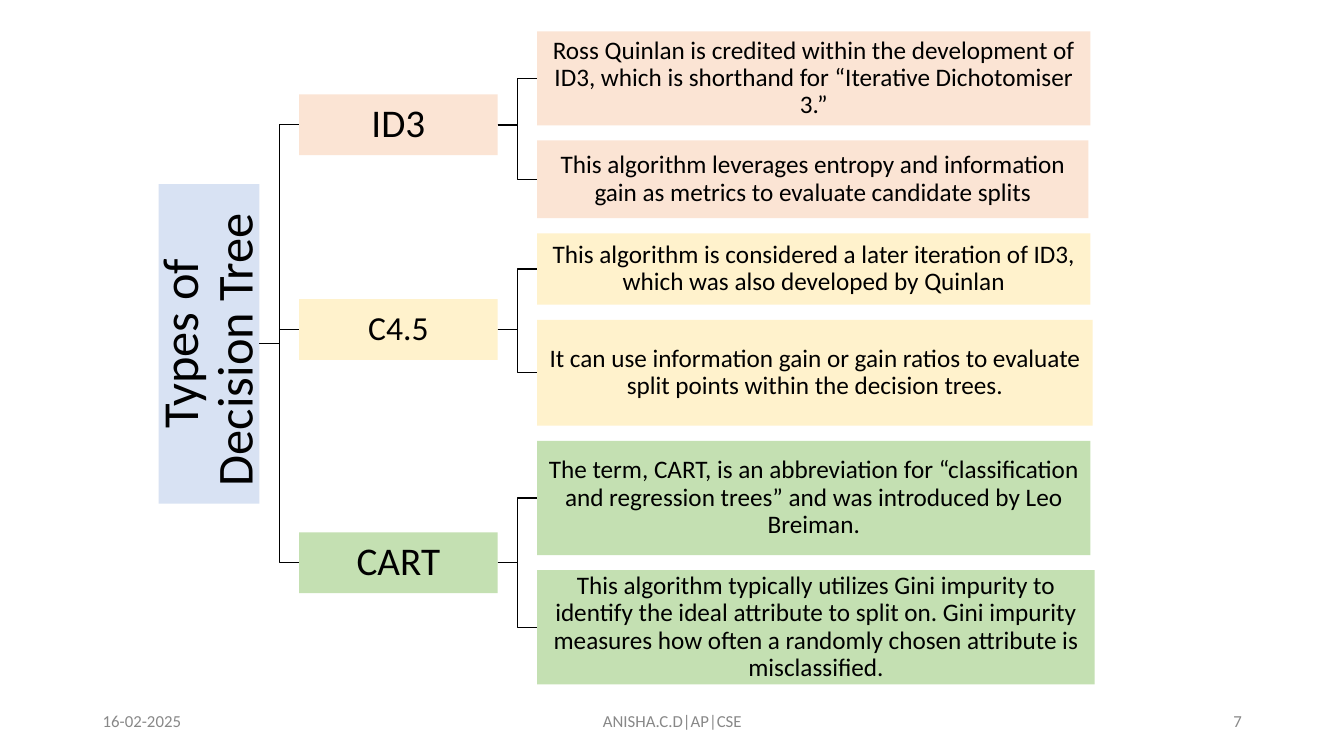
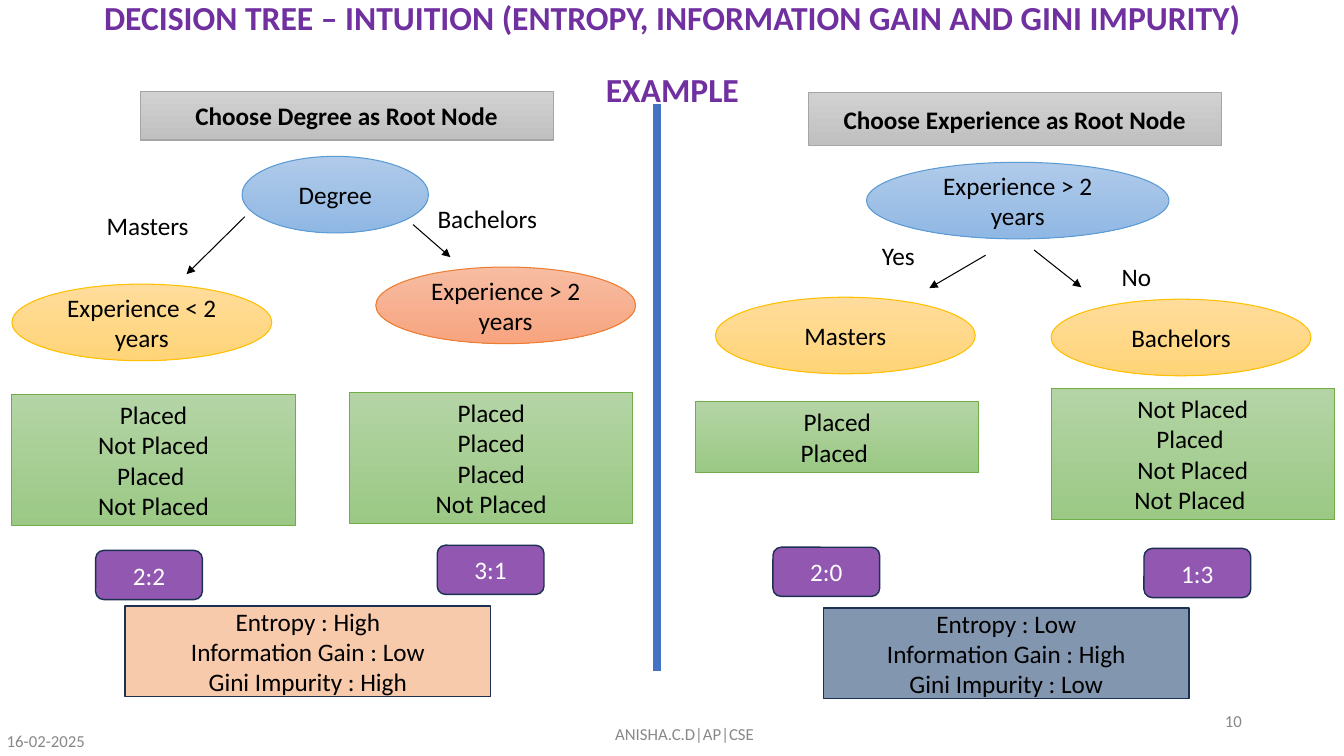
from dataclasses import dataclass

from lxml import etree
from pptx import Presentation
from pptx.dml.color import RGBColor
from pptx.enum import shapes, text
from pptx.oxml import ns
from pptx.util import Cm, Pt

FONT = "Calibri"
BLACK = RGBColor(0x00, 0x00, 0x00)
WHITE = RGBColor(0xFF, 0xFF, 0xFF)
FOOTER_GREY = RGBColor(0x88, 0x88, 0x88)
TITLE_PURPLE = RGBColor(0x70, 0x30, 0xA0)
BADGE_PURPLE = RGBColor(0x91, 0x57, 0xB1)
NAVY = RGBColor(0x1C, 0x30, 0x52)
DIVIDER_BLUE = RGBColor(0x44, 0x72, 0xC4)
PALE_BLUE = RGBColor(0xD8, 0xE2, 0xF3)
PALE_ORANGE = RGBColor(0xFB, 0xE4, 0xD4)
PALE_YELLOW = RGBColor(0xFF, 0xF2, 0xCC)
PALE_GREEN = RGBColor(0xC4, 0xE0, 0xB2)
PEACH = RGBColor(0xF7, 0xCA, 0xAC)
SLATE = RGBColor(0x82, 0x96, 0xB0)

# Gradient styles: top colour, bottom colour, outline
GREY = (RGBColor(0xD1, 0xD1, 0xD1), RGBColor(0xC0, 0xC0, 0xC0), RGBColor(0xA5, 0xA5, 0xA5))
BLUE = (RGBColor(0xB0, 0xCA, 0xE9), RGBColor(0x90, 0xB8, 0xE4), RGBColor(0x5B, 0x9B, 0xD5))
GOLD = (RGBColor(0xFF, 0xDC, 0x9B), RGBColor(0xFF, 0xD4, 0x78), RGBColor(0xFF, 0xC0, 0x00))
ORANGE = (RGBColor(0xF7, 0xBC, 0xA2), RGBColor(0xF7, 0xA4, 0x7F), RGBColor(0xED, 0x7D, 0x31))
GREEN = (RGBColor(0xB4, 0xD4, 0xA5), RGBColor(0x9B, 0xC9, 0x85), RGBColor(0x70, 0xAD, 0x47))

RECT = shapes.MSO_SHAPE.RECTANGLE
OVAL = shapes.MSO_SHAPE.OVAL
ROUNDED = shapes.MSO_SHAPE.ROUNDED_RECTANGLE
STRAIGHT = shapes.MSO_CONNECTOR.STRAIGHT
ELBOW = shapes.MSO_CONNECTOR.ELBOW
LEFT, CENTER, RIGHT = text.PP_ALIGN.LEFT, text.PP_ALIGN.CENTER, text.PP_ALIGN.RIGHT


@dataclass
class Branch:
    """One side of a split; places are relative to the panel, in cm."""
    label: str
    label_at: tuple  # middle of the top edge
    arrow: tuple
    node: str
    node_at: tuple
    style: tuple
    outcomes: str
    outcomes_at: tuple
    ratio: str
    ratio_at: tuple


def set_text(shape, words, size=18, color=BLACK, bold=False, align=CENTER, inset=None, spacing=None):
    tf = shape.text_frame
    tf.word_wrap = True
    tf.vertical_anchor = text.MSO_ANCHOR.MIDDLE
    if inset is not None:
        tf.margin_left = tf.margin_right = tf.margin_top = tf.margin_bottom = Cm(inset)
    tf.text = words
    for p in tf.paragraphs:
        p.alignment = align
        if spacing:
            p.line_spacing = spacing
        for r in p.runs:
            r.font.name, r.font.size, r.font.bold = FONT, Pt(size), bold
            r.font.color.rgb = color
    return tf


def add_text(s, box, words, **style):
    return set_text(s.shapes.add_textbox(*map(Cm, box)), words, **style)


def add_box(s, kind, box, words, fill, outline=None, **style):
    """Draw a filled shape; a fill that is not one colour is a gradient with its outline."""
    sp = s.shapes.add_shape(kind, *map(Cm, box))
    sp.shadow.inherit = False
    if isinstance(fill, RGBColor):
        sp.fill.solid()
        sp.fill.fore_color.rgb = fill
        if outline is None:
            sp.line.fill.background()
        else:
            sp.line.color.rgb, sp.line.width = outline, Pt(1)
    else:
        top, bottom, edge = fill
        sp.fill.gradient()
        sp.fill.gradient_angle = 270
        for stop, color in zip(sp.fill.gradient_stops, (top, bottom)):
            stop.color.rgb = color
        sp.line.color.rgb, sp.line.width = edge, Pt(0.75)
    set_text(sp, words, **style)
    return sp


def add_line(s, ends=(0, 0, 0, 0), color=BLACK, width=1, kind=STRAIGHT, arrow=False):
    line = s.shapes.add_connector(kind, *map(Cm, ends))
    line.line.color.rgb, line.line.width = color, Pt(width)
    props = line._element.spPr
    if arrow:
        etree.SubElement(props.find(ns.qn("a:ln")), ns.qn("a:tailEnd"), type="triangle")
    etree.SubElement(props, ns.qn("a:effectLst"))
    return line


def add_elbow(s, start, start_site, end):
    line = add_line(s, kind=ELBOW)
    line.begin_connect(start, start_site)
    line.end_connect(end, 1)
    return line


def add_footer(s, number, date_at, credit_at):
    number_at = (23.93, 17.65)
    for (left, top), width, words, align in (
            (date_at, 7.62, "16-02-2025", LEFT),
            (credit_at, 11.43, "ANISHA.C.D|AP|CSE", CENTER),
            (number_at, 7.62, number, RIGHT)):
        add_text(s, (left, top, width, 1.02), words, size=12, color=FOOTER_GREY, align=align)


def add_title(s, words):
    tf = add_text(s, (2.34, 1.01, 29.21, 0.79), words, size=24, color=TITLE_PURPLE, bold=True, spacing=0.9)
    for p in tf.paragraphs[1:]:
        p.space_before = Pt(26)


def add_hierarchy(s, left, top, root_words, groups):
    """Draw a root, its groups and their leaves from left to right."""
    level_gap, leaf_gap = 1, 0.38
    root_w, root_h = 2.54, 8.05
    group_w, group_h = 5, 1.53
    group_left = left + root_w + level_gap
    leaf_left = group_left + group_w + level_gap

    group_shapes, middles = [], []
    leaf_top = top
    for name, size, fill, leaves in groups:
        group_top = leaf_top
        leaf_shapes = []
        for words, width, height in leaves:
            leaf_shapes.append(add_box(s, RECT, (leaf_left, leaf_top, width, height), words, fill,
                                       inset=0.03, spacing=0.9))
            leaf_top += height + leaf_gap
        middle = (group_top + leaf_top - leaf_gap) / 2
        group = add_box(s, RECT, (group_left, middle - group_h / 2, group_w, group_h), name, fill,
                        size=size, inset=0.05, spacing=0.9)
        for leaf in leaf_shapes:
            add_elbow(s, group, 3, leaf)
        group_shapes.append(group)
        middles.append(middle)

    root_middle = (middles[0] + middles[-1]) / 2
    root = add_box(s, RECT, (left + (root_w - root_h) / 2, root_middle - root_w / 2, root_h, root_w),
                   root_words, PALE_BLUE, size=36, inset=0.05, spacing=0.9)
    root.rotation = 270
    for group in group_shapes:
        # The bottom of the turned root faces right
        line = add_elbow(s, root, 2, group)
        line.begin_x, line.begin_y = Cm(left + root_w), Cm(root_middle)


def add_split_panel(s, left, top, header, header_box, root, root_box, branches, metrics, metrics_at, metrics_fill):
    """Draw one candidate root with its two branches and the resulting metrics."""
    def place(at, *size):
        return (left + at[0], top + at[1], *size)

    add_box(s, RECT, place(header_box, *header_box[2:]), header, GREY, bold=True)
    add_box(s, OVAL, place(root_box, *root_box[2:]), root, BLUE)
    for b in branches:
        add_box(s, OVAL, place(b.node_at, 6.55, 1.93), b.node, b.style)
        add_line(s, place(b.arrow[:2]) + place(b.arrow[2:]), width=0.75, arrow=True)
        label_w = 4
        add_text(s, place((b.label_at[0] - label_w / 2, b.label_at[1]), label_w, 1.02), b.label)
        rows = len(b.outcomes.split("\n"))
        add_box(s, RECT, place(b.outcomes_at, 7.14, 0.28 + 0.76 * rows), b.outcomes, GREEN)
        add_box(s, ROUNDED, place(b.ratio_at, 2.69, 1.24), b.ratio, BADGE_PURPLE, NAVY, color=WHITE)
    add_box(s, RECT, place(metrics_at, 9.22, 2.29), metrics, metrics_fill, NAVY)


def build_types_slide(s):
    add_footer(s, "7", (2.34, 17.65), (11.23, 17.65))
    add_hierarchy(s, 4, 0.79, "Types of Decision Tree ", [
        ("ID3", 28, PALE_ORANGE, [
            ("Ross Quinlan is credited within the development of ID3, which is shorthand for "
             "“Iterative Dichotomiser 3.”", 13.94, 2.37),
            ("This algorithm leverages entropy and information gain as metrics to evaluate "
             "candidate splits", 13.89, 1.96)]),
        ("C4.5", 24, PALE_YELLOW, [
            ("This algorithm is considered a later iteration of ID3, which was also developed "
             "by Quinlan", 13.94, 1.8),
            ("It can use information gain or gain ratios to evaluate split points within the "
             "decision trees.", 14, 2.67)]),
        ("CART", 28, PALE_GREEN, [
            ("The term, CART, is an abbreviation for “classification and regression trees” and "
             "was introduced by Leo Breiman.", 13.94, 2.88),
            ("This algorithm typically utilizes Gini impurity to identify the ideal attribute to "
             "split on. Gini impurity measures how often a randomly chosen attribute is "
             "misclassified.", 14.05, 2.88)]),
    ])


def build_example_slide(s):
    add_title(s, "DECISION TREE – INTUITION (ENTROPY, INFORMATION GAIN AND GINI IMPURITY)\nEXAMPLE")
    add_footer(s, "10", (-0.08, 18.16), (11.54, 17.98))
    add_line(s, (16.56, 2.62, 16.56, 16.92), DIVIDER_BLUE, 6)
    add_split_panel(
        s, 0.3, 2.31, "Choose Degree as Root Node", (3.23, 0, 10.41, 1.22),
        "Degree", (5.8, 1.63, 4.7, 1.93),
        [Branch("Masters", (3.42, 2.85), (5.87, 3.15, 4.4, 4.6),
                "Experience < 2 years", (0, 4.85), GOLD,
                "Placed\nNot Placed\nPlaced \nNot Placed", (0, 7.62), "2:2", (2.11, 11.56)),
         Branch("Bachelors", (11.98, 2.69), (10.11, 3.35, 11.05, 4.17),
                "Experience > 2 years", (9.17, 4.42), ORANGE,
                "Placed\nPlaced\nPlaced\nNot Placed", (8.51, 7.57), "3:1", (10.72, 11.43))],
        "Entropy : High\nInformation Gain : Low\nGini Impurity : High", (2.85, 12.96), PEACH)
    add_split_panel(
        s, 17.53, 2.31, "Choose Experience as Root Node", (2.84, 0.03, 10.41, 1.32),
        "Experience > 2 years", (4.31, 1.78, 7.62, 1.93),
        [Branch("Yes", (5.11, 3.61), (7.31, 4.12, 5.89, 4.95),
                "Masters", (0.5, 5.18), GOLD,
                "Placed\nPlaced ", (0, 7.8), "2:0", (1.95, 11.48)),
         Branch("No", (11.11, 4.14), (8.53, 3.99, 9.72, 4.93),
                "Bachelors", (8.96, 5.23), GOLD,
                "Not Placed\nPlaced \nNot Placed\nNot Placed ", (8.96, 7.47), "1:3", (11.3, 11.51))],
        "Entropy : Low\nInformation Gain : High\nGini Impurity : Low", (3.22, 13.01), SLATE)


def main():
    prs = Presentation()
    prs.slide_width, prs.slide_height = Cm(33.87), Cm(19.05)
    for build in (build_types_slide, build_example_slide):
        build(prs.slides.add_slide(prs.slide_layouts[6]))
    prs.save("out.pptx")


if __name__ == "__main__":
    main()
